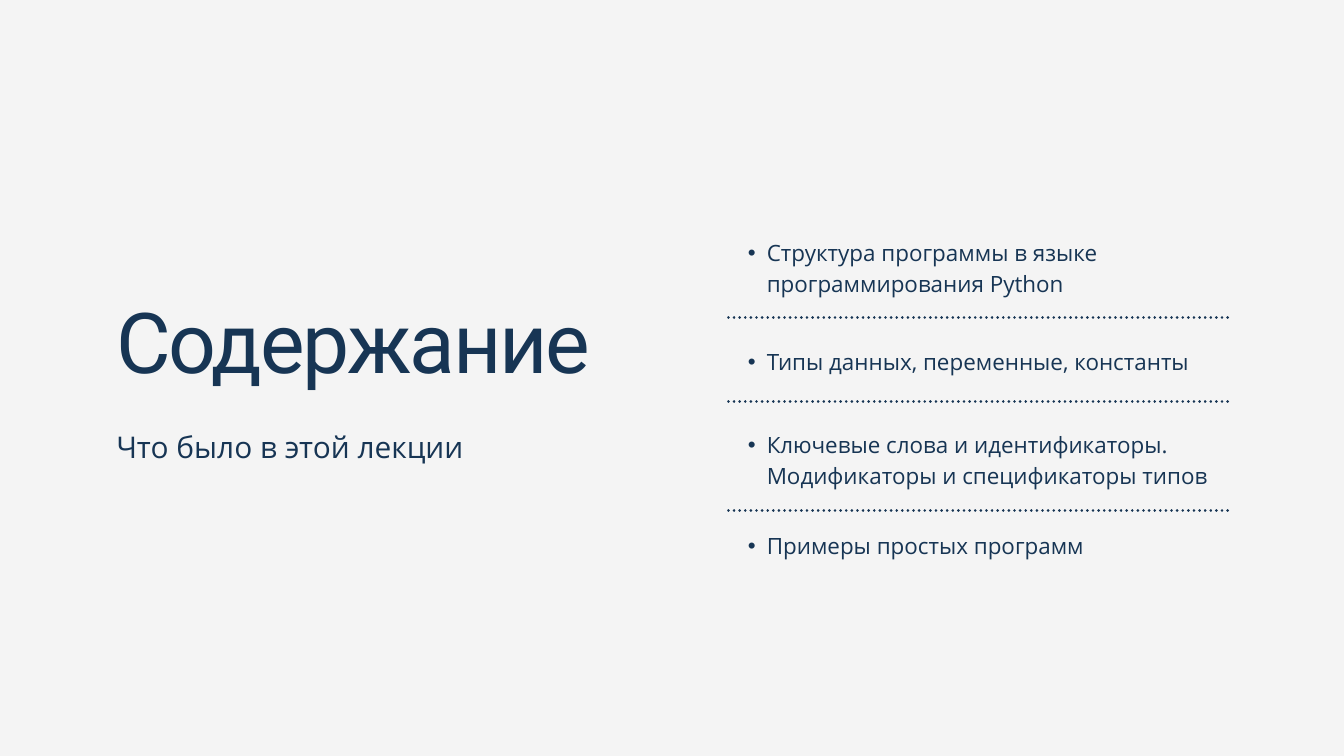
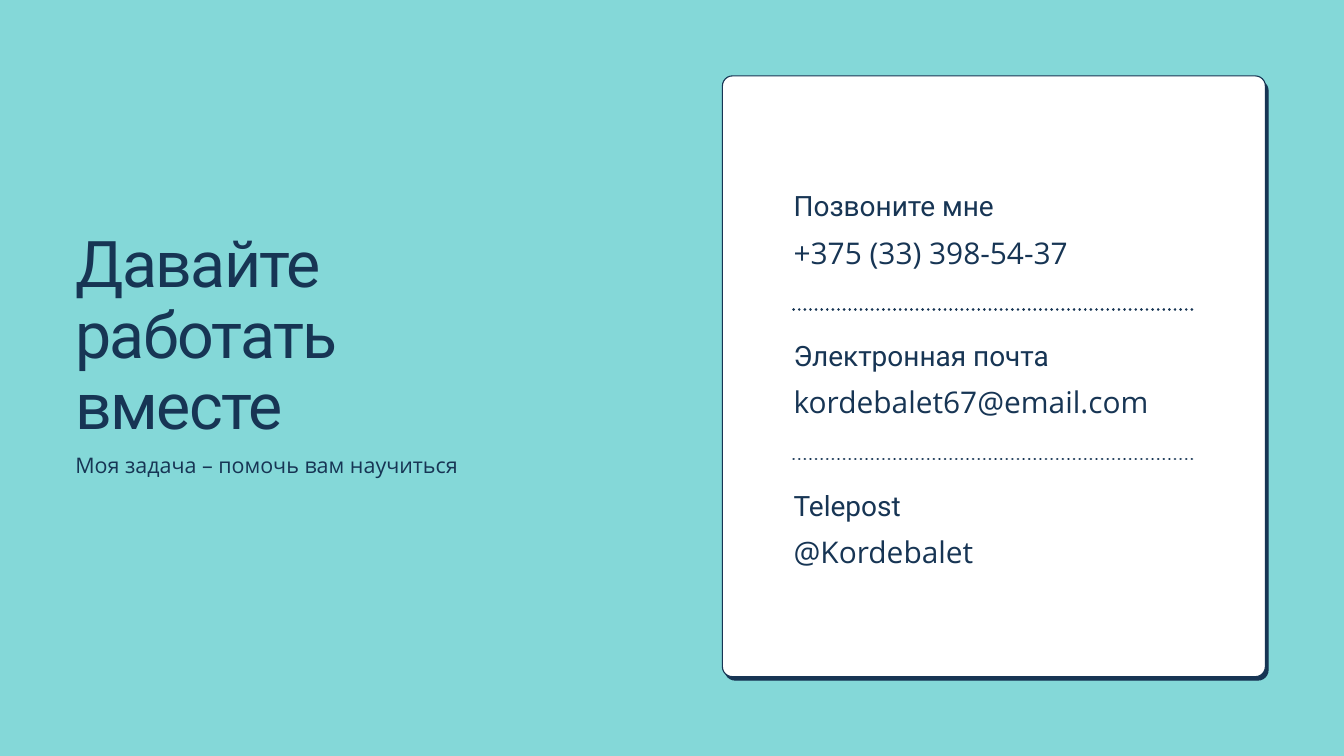
from dataclasses import dataclass

from lxml import etree
from pptx import Presentation
from pptx import slide as sld
from pptx import util as u
from pptx.dml import color
from pptx.enum import dml, shapes, text
from pptx.oxml import ns
from pptx.shapes import base


@dataclass(frozen=True)
class TextStyle:
    font: str
    size: float
    leading: float
    tracking: float = 0
    bullet: str = ""


@dataclass(frozen=True)
class Theme:
    navy: color.RGBColor = color.RGBColor.from_string("173554")
    paper: color.RGBColor = color.RGBColor.from_string("F4F4F4")
    teal: color.RGBColor = color.RGBColor.from_string("84D8D8")
    white: color.RGBColor = color.RGBColor.from_string("FFFFFF")
    contents_title: TextStyle = TextStyle("Roboto", 90, 99, -2.2)
    closing_title: TextStyle = TextStyle("Roboto", 69, 75.9, -1.7)
    contents_subtitle: TextStyle = TextStyle("Open Sans", 32, 41.6)
    closing_subtitle: TextStyle = TextStyle("Open Sans", 23, 29.9)
    topic: TextStyle = TextStyle("Open Sans", 24, 33.6, bullet="•")
    contact_label: TextStyle = TextStyle("Roboto", 30, 39)
    contact_value: TextStyle = TextStyle("Open Sans", 32, 41.6)


@dataclass(frozen=True)
class Box:
    left: float
    top: float
    width: float
    height: float


@dataclass(frozen=True)
class Line:
    words: str
    style: TextStyle
    space_before: float = 0


@dataclass(frozen=True)
class Block:
    box: Box
    lines: list[Line]


THEME = Theme()
TWO_CONTENT_LAYOUT = 3
CARD_RADIUS = 0.15


def place(shape: base.BaseShape, box: Box) -> None:
    shape.left, shape.top = u.Inches(box.left), u.Inches(box.top)
    shape.width, shape.height = u.Inches(box.width), u.Inches(box.height)


def format_line(paragraph, line: Line) -> None:
    style = line.style
    paragraph.text = line.words
    properties = paragraph._p.get_or_add_pPr()
    indent = u.Inches(0.28) if style.bullet else 0
    properties.set("marL", str(u.Inches(0.57) if style.bullet else 0))
    properties.set("indent", str(-indent))
    if style.bullet:
        etree.SubElement(properties, ns.qn("a:buChar")).set("char", style.bullet)
    else:
        etree.SubElement(properties, ns.qn("a:buNone"))
    paragraph.alignment = text.PP_ALIGN.LEFT
    paragraph.line_spacing = u.Pt(style.leading)
    paragraph.space_before = u.Pt(line.space_before)
    paragraph.font.name = style.font
    paragraph.font.size = u.Pt(style.size)
    paragraph.font.color.rgb = THEME.navy
    if style.tracking:
        defaults = properties.find(ns.qn("a:defRPr"))
        defaults.set("spc", str(round(style.tracking * 100)))


def fill_placeholder(placeholder, block: Block) -> None:
    place(placeholder, block.box)
    frame = placeholder.text_frame
    frame.margin_left = frame.margin_top = frame.margin_right = frame.margin_bottom = 0
    frame.word_wrap = True
    frame.auto_size = text.MSO_AUTO_SIZE.NONE
    frame.vertical_anchor = text.MSO_ANCHOR.TOP
    for index, line in enumerate(block.lines):
        paragraph = frame.add_paragraph() if index else frame.paragraphs[0]
        format_line(paragraph, line)


def add_slide(deck, background: color.RGBColor, blocks: list[Block]) -> sld.Slide:
    slide = deck.slides.add_slide(deck.slide_layouts[TWO_CONTENT_LAYOUT])
    slide.background.fill.solid()
    slide.background.fill.fore_color.rgb = background
    for placeholder, block in zip(slide.placeholders, blocks):
        fill_placeholder(placeholder, block)
    return slide


def add_dividers(slide: sld.Slide, column: Box, tops: list[float]) -> None:
    for top in tops:
        divider = slide.shapes.add_connector(
            shapes.MSO_CONNECTOR.STRAIGHT,
            u.Inches(column.left), u.Inches(top),
            u.Inches(column.left + column.width), u.Inches(top),
        )
        divider.line.color.rgb = THEME.navy
        divider.line.width = u.Pt(3)
        divider.line.dash_style = dml.MSO_LINE.ROUND_DOT
        divider.line._get_or_add_ln().set("cap", "rnd")
        etree.SubElement(divider._element.spPr, ns.qn("a:effectLst"))


def add_card(slide: sld.Slide) -> None:
    layers = [
        (Box(10.79, 1.2, 8.08, 8.92), THEME.navy),
        (Box(10.75, 1.13, 8.08, 8.94), THEME.white),
    ]
    for depth, (box, fill) in enumerate(layers, start=2):
        panel = slide.shapes.add_shape(shapes.MSO_SHAPE.ROUNDED_RECTANGLE, 0, 0, 0, 0)
        place(panel, box)
        panel.adjustments[0] = CARD_RADIUS / box.width
        panel.shadow.inherit = False
        panel.fill.solid()
        panel.fill.fore_color.rgb = fill
        panel.line.color.rgb = THEME.navy
        panel.line.width = u.Pt(1.2)
        slide.shapes._spTree.insert(depth, panel._element)


def build_contents(deck) -> None:
    topics = Block(Box(10.84, 3.49, 7.43, 4.8), [
        Line("Структура программы в языке программирования Python", THEME.topic),
        Line("Типы данных, переменные, константы", THEME.topic, 50),
        Line("Ключевые слова и идентификаторы. Модификаторы и спецификаторы типов",
             THEME.topic, 55),
        Line("Примеры простых программ", THEME.topic, 41),
    ])
    slide = add_slide(deck, THEME.paper, [
        Block(Box(1.73, 4.43, 7.52, 1.44), [Line("Содержание", THEME.contents_title)]),
        Block(Box(1.73, 6.33, 7.52, 0.56),
              [Line("Что было в этой лекции", THEME.contents_subtitle)]),
        topics,
    ])
    add_dividers(slide, topics.box, [4.73, 5.97, 7.6])


def build_closing(deck) -> None:
    contacts = [
        ("Позвоните мне", "+375 (33) 398-54-37"),
        ("Электронная почта", "kordebalet67@email.com"),
        ("Telepost", "@Kordebalet"),
    ]
    contact_lines = []
    for index, (label, value) in enumerate(contacts):
        contact_lines.append(Line(label, THEME.contact_label, 70 if index else 0))
        contact_lines.append(Line(value, THEME.contact_value, 10))
    details = Block(Box(11.81, 2.76, 6, 5.71), contact_lines)
    slide = add_slide(deck, THEME.teal, [
        Block(Box(1.12, 3.42, 6.97, 3.16),
              [Line("Давайте работать вместе", THEME.closing_title)]),
        Block(Box(1.12, 6.69, 6.97, 0.4),
              [Line("Моя задача – помочь вам научиться", THEME.closing_subtitle)]),
        details,
    ])
    add_card(slide)
    add_dividers(slide, details.box, [4.6, 6.83])


def main() -> None:
    deck = Presentation()
    deck.slide_width, deck.slide_height = u.Inches(20), u.Inches(11.25)
    build_contents(deck)
    build_closing(deck)
    deck.save("out.pptx")


if __name__ == "__main__":
    main()
